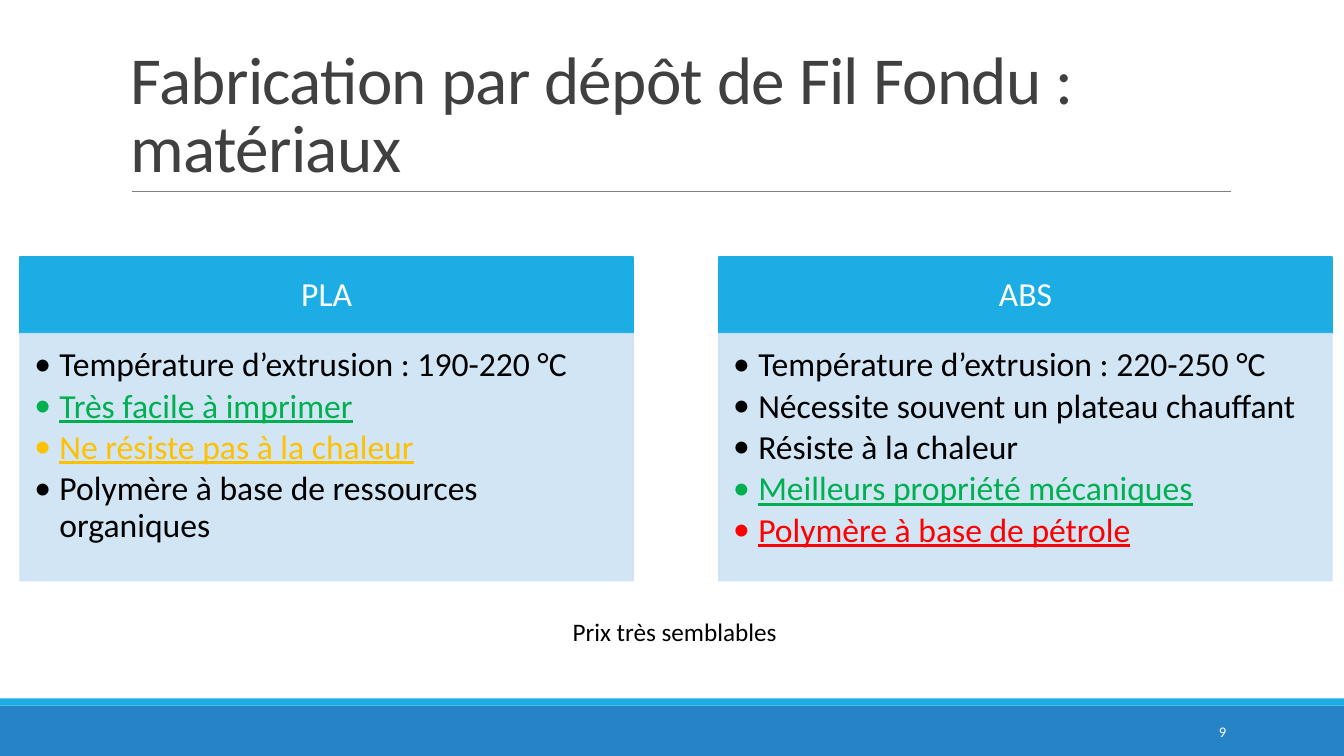
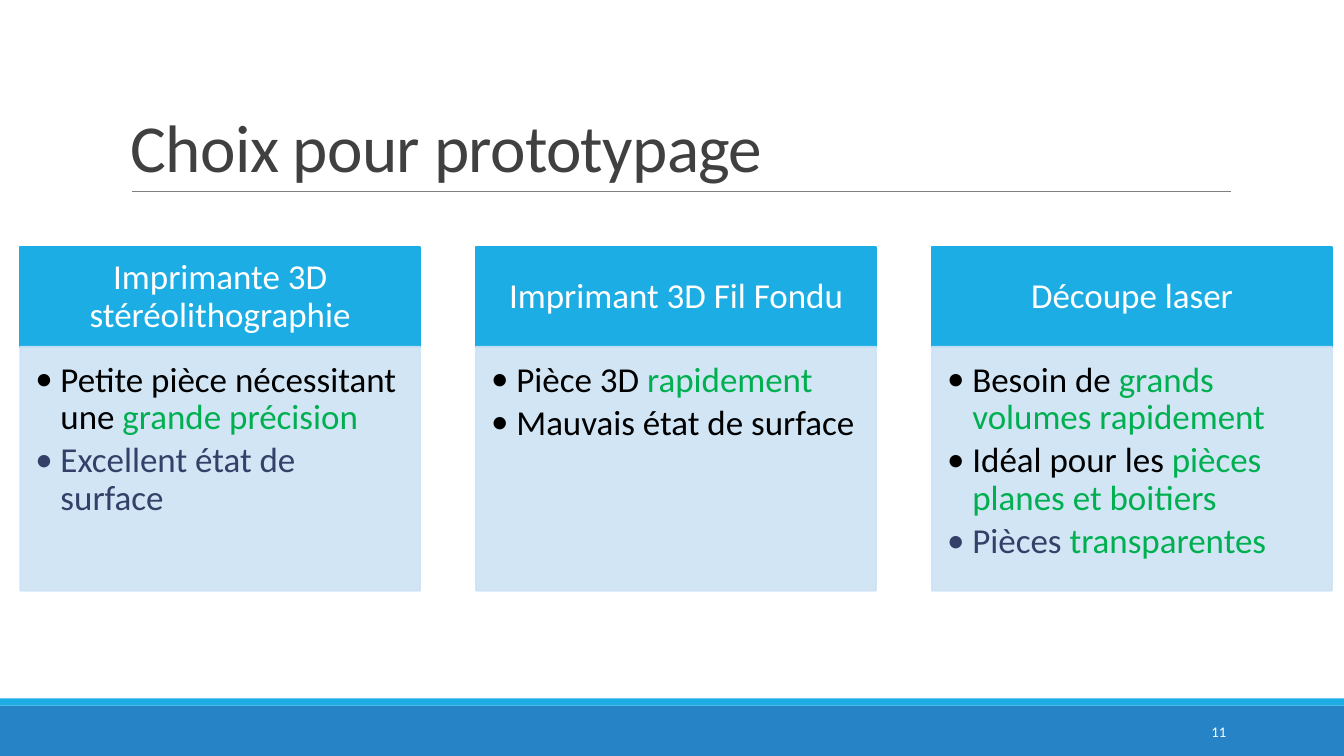
from dataclasses import dataclass

import pptx
import pptx.dml.color
import pptx.enum.shapes
import pptx.enum.text
import pptx.oxml.ns
import pptx.util
from lxml import etree
from pptx.util import Inches, Pt

# Shared look
FONT = "Calibri"
BLUE, DARK_BLUE, PALE_BLUE = "1CADE4", "2683C6", "CDE3F5"
WHITE, BLACK, GREY, RULE = "FFFFFF", "000000", "404040", "808080"
GREEN, ORANGE, RED, NAVY = "00B050", "FFC000", "FF0000", "344068"
SLIDE_W, SLIDE_H = 13.33, 7.5
COLUMNS_LEFT, COLUMNS_SPAN, GAP_RATIO = 0.2, 13.01, 0.14
ANCHOR = pptx.enum.text.MSO_ANCHOR
ALIGN = pptx.enum.text.PP_ALIGN
qn = pptx.oxml.ns.qn


@dataclass(frozen=True)
class Span:
    text: str
    color: str = BLACK
    underline: bool = False


@dataclass(frozen=True)
class Column:
    heading: str
    bullets: tuple[tuple[Span, ...], ...]


@dataclass(frozen=True)
class ColumnStyle:
    top: float
    heading_height: float
    body_height: float
    size: float
    inset: float
    bottom_inset: float


def rgb(color: str) -> pptx.dml.color.RGBColor:
    return pptx.dml.color.RGBColor.from_string(color)


def style_run(run, size: float, color: str, underline: bool = False) -> None:
    run.font.name, run.font.size = FONT, Pt(size)
    run.font.color.rgb = rgb(color)
    if underline:
        run.font.underline = True


def add_box(slide, left: float, top: float, width: float, height: float,
            color: str, outlined: bool = False, opacity: int = 100):
    box = slide.shapes.add_shape(
        pptx.enum.shapes.MSO_SHAPE.RECTANGLE,
        Inches(left), Inches(top), Inches(width), Inches(height))
    box.shadow.inherit = False
    box.fill.solid()
    box.fill.fore_color.rgb = rgb(color)
    if outlined:
        box.line.color.rgb = rgb(color)
        box.line.width = Pt(1.25)
    else:
        box.line.fill.background()
    if opacity < 100:
        for tint in box._element.spPr.iter(qn("a:srgbClr")):
            etree.SubElement(tint, qn("a:alpha"), val=str(opacity * 1000))
    return box


def add_label(slide, left: float, top: float, width: float, height: float,
              text: str, size: float, color: str, anchor=ANCHOR.TOP,
              align=ALIGN.LEFT, wrap: bool = True):
    label = slide.shapes.add_textbox(
        Inches(left), Inches(top), Inches(width), Inches(height))
    frame = label.text_frame
    frame.word_wrap, frame.vertical_anchor = wrap, anchor
    paragraph = frame.paragraphs[0]
    paragraph.text, paragraph.alignment = text, align
    for run in paragraph.runs:
        style_run(run, size, color)
    return paragraph


def set_insets(frame, left: float, top: float, right: float, bottom: float) -> None:
    frame.margin_left, frame.margin_top = Inches(left), Inches(top)
    frame.margin_right, frame.margin_bottom = Inches(right), Inches(bottom)


def add_base_slide(deck, title: str, number: int):
    slide = deck.slides.add_slide(deck.slide_layouts[6])

    # Footer bands
    add_box(slide, 0, 7, SLIDE_W, 0.5, DARK_BLUE)
    add_box(slide, 0, 6.93, SLIDE_W, 0.07, BLUE)

    # Title and its rule
    rule = slide.shapes.add_connector(
        pptx.enum.shapes.MSO_CONNECTOR.STRAIGHT,
        Inches(1.31), Inches(1.9), Inches(12.21), Inches(1.9))
    rule.line.color.rgb, rule.line.width = rgb(RULE), Pt(0.5)
    etree.SubElement(rule._element.spPr, qn("a:effectLst"))
    heading = add_label(slide, 1.2, 0.31, 11, 1.59, title, 48, GREY, ANCHOR.BOTTOM)
    heading.line_spacing = 0.85
    for run in heading.runs:
        run.font._element.set("spc", "-50")

    # Slide number
    add_label(slide, 10.83, 7.06, 1.43, 0.4, str(number), 10.5, WHITE,
              ANCHOR.MIDDLE, ALIGN.RIGHT)
    return slide


def add_bullet(paragraph, spans: tuple[Span, ...], size: float) -> None:
    paragraph.alignment = ALIGN.LEFT
    paragraph.line_spacing = 0.9
    paragraph.space_after = Pt(size * 0.15)
    properties = paragraph._p.get_or_add_pPr()
    properties.set("marL", str(Inches(0.25)))
    properties.set("indent", str(-Inches(0.25)))
    etree.SubElement(properties, qn("a:buFont"), typeface=FONT)
    etree.SubElement(properties, qn("a:buChar"), char="•")
    for span in spans:
        run = paragraph.add_run()
        run.text = span.text
        style_run(run, size, span.color, span.underline)


def add_column(slide, column: Column, left: float, width: float,
               style: ColumnStyle) -> None:
    # Heading
    head = add_box(slide, left, style.top, width, style.heading_height, BLUE, True)
    frame = head.text_frame
    frame.text = column.heading
    frame.word_wrap, frame.vertical_anchor = True, ANCHOR.MIDDLE
    set_insets(frame, 0.19, 0.11, 0.19, 0.11)
    paragraph = frame.paragraphs[0]
    paragraph.alignment, paragraph.line_spacing = ALIGN.CENTER, 0.9
    style_run(paragraph.runs[0], style.size, WHITE)

    # Bulleted body
    body = add_box(slide, left, style.top + style.heading_height, width,
                   style.body_height, PALE_BLUE, True, 90)
    frame = body.text_frame
    frame.word_wrap, frame.vertical_anchor = True, ANCHOR.TOP
    set_insets(frame, style.inset, style.inset, 0.19, style.bottom_inset)
    for index, spans in enumerate(column.bullets):
        paragraph = frame.add_paragraph() if index else frame.paragraphs[0]
        add_bullet(paragraph, spans, style.size)


def add_columns(slide, columns: tuple[Column, ...], style: ColumnStyle) -> None:
    count = len(columns)
    width = COLUMNS_SPAN / (count + GAP_RATIO * (count - 1))
    for index, column in enumerate(columns):
        left = COLUMNS_LEFT + index * width * (1 + GAP_RATIO)
        add_column(slide, column, left, width, style)


# Content
MATERIALS = (
    Column("PLA", (
        (Span("Température d’extrusion : 190-220 °C"),),
        (Span("Très facile à imprimer", GREEN, True),),
        (Span("Ne résiste pas à la chaleur", ORANGE, True),),
        (Span("Polymère à base de ressources organiques"),),
    )),
    Column("ABS", (
        (Span("Température d’extrusion : 220-250 °C"),),
        (Span("Nécessite souvent un plateau chauffant"),),
        (Span("Résiste à la chaleur"),),
        (Span("Meilleurs propriété mécaniques", GREEN, True),),
        (Span("Polymère à base de pétrole", RED, True),),
    )),
)
PROCESSES = (
    Column("Imprimante 3D stéréolithographie", (
        (Span("Petite pièce nécessitant une "), Span("grande précision", GREEN)),
        (Span("Excellent état de surface", NAVY),),
    )),
    Column("Imprimant 3D Fil Fondu", (
        (Span("Pièce 3D "), Span("rapidement", GREEN)),
        (Span("Mauvais état de surface"),),
    )),
    Column("Découpe laser", (
        (Span("Besoin de "), Span("grands volumes rapidement", GREEN)),
        (Span("Idéal pour les "), Span("pièces planes et boitiers", GREEN)),
        (Span("Pièces", NAVY), Span(" transparentes", GREEN)),
    )),
)


def main() -> None:
    deck = pptx.Presentation()
    deck.slide_width, deck.slide_height = Inches(SLIDE_W), Inches(SLIDE_H)

    # Materials
    materials = add_base_slide(
        deck, "Fabrication par dépôt de Fil Fondu : \vmatériaux", 9)
    add_columns(materials, MATERIALS, ColumnStyle(2.55, 0.76, 2.45, 24, 0.14, 0.21))
    add_label(materials, 5.58, 6.07, 2.25, 0.4, "Prix très semblables", 18, BLACK,
              wrap=False)

    # Prototyping choice
    choice = add_base_slide(deck, "Choix pour prototypage", 11)
    add_columns(choice, PROCESSES, ColumnStyle(2.45, 0.99, 2.42, 25, 0.15, 0.22))

    deck.save("out.pptx")


if __name__ == "__main__":
    main()
